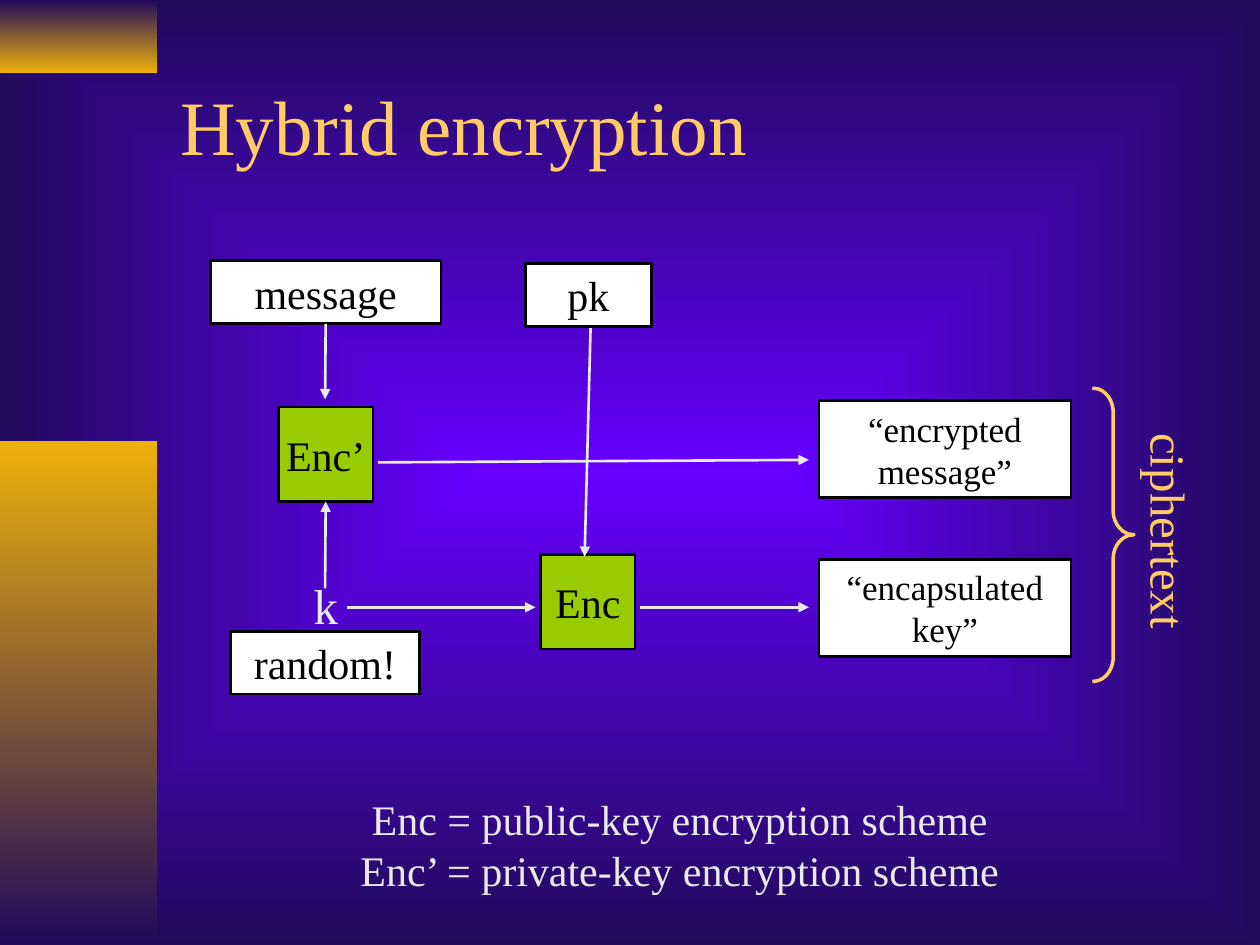
import pptx
import pptx.dml.color
import pptx.enum.shapes
import pptx.enum.text
import pptx.oxml
import pptx.oxml.ns
import pptx.util
from lxml import etree

Inches = pptx.util.Inches
Pt = pptx.util.Pt
SHAPE = pptx.enum.shapes.MSO_SHAPE
ALIGN = pptx.enum.text.PP_ALIGN
ANCHOR = pptx.enum.text.MSO_ANCHOR

FONT = "Times New Roman"
NIGHT, VIOLET, AMBER = "200B5B", "6600FF", "EEB00B"
GOLD, PALE, GREEN = "FFCC66", "EAEAEA", "99CC00"
BLACK, WHITE = "000000", "FFFFFF"


def rgb(value):
    return pptx.dml.color.RGBColor.from_string(value)


def write(frame, text, size=24, color=BLACK, align=ALIGN.CENTER,
          anchor=ANCHOR.MIDDLE, wrap=True):
    """Fill a text frame, one paragraph per line of text."""
    frame.word_wrap = wrap
    frame.auto_size = pptx.enum.text.MSO_AUTO_SIZE.NONE
    frame.vertical_anchor = anchor
    for index, line in enumerate(text.split("\n")):
        para = frame.paragraphs[0] if index == 0 else frame.add_paragraph()
        para.alignment = align
        span = para.add_run()
        span.text = line
        span.font.name = FONT
        span.font.size = Pt(size)
        span.font.color.rgb = rgb(color)


def add_element(parent, tag, **attributes):
    element = etree.SubElement(parent, pptx.oxml.ns.qn(tag))
    for name, value in attributes.items():
        element.set(name, value)
    return element


def blend(fill, first, last):
    """Two-colour gradient from top to bottom."""
    fill.gradient()
    fill.gradient_angle = 270
    for stop, position, color in zip(fill.gradient_stops, (0, 1), (first, last)):
        stop.position = position
        stop.color.rgb = rgb(color)


class Diagram:
    def __init__(self, page, line_width=1.5):
        self.page = page
        self.line_width = line_width

    def background(self, center, edge):
        blend(self.page.background.fill, center, edge)
        # Turn the linear gradient into a rectangular one
        gradient = self.page.background._cSld.find(".//" + pptx.oxml.ns.qn("a:gradFill"))
        gradient.remove(gradient.find(pptx.oxml.ns.qn("a:lin")))
        route = add_element(gradient, "a:path", path="rect")
        add_element(route, "a:fillToRect", l="50000", t="50000", r="50000", b="50000")

    def shape(self, kind, left, top, width, height):
        shape = self.page.shapes.add_shape(
            kind, Inches(left), Inches(top), Inches(width), Inches(height))
        shape.shadow.inherit = False
        return shape

    def band(self, top, height, first, last):
        band = self.shape(SHAPE.RECTANGLE, 0, top, 1.25, height)
        blend(band.fill, first, last)
        band.line.fill.background()

    def title(self, text, left, top, width, height):
        title = self.page.shapes.title
        title.left, title.top = Inches(left), Inches(top)
        title.width, title.height = Inches(width), Inches(height)
        write(title.text_frame, text, size=44, color=GOLD, align=ALIGN.LEFT)

    def box(self, text, left, top, width, height=0.5, fill=WHITE, **style):
        box = self.shape(SHAPE.RECTANGLE, left, top, width, height)
        box.fill.solid()
        box.fill.fore_color.rgb = rgb(fill)
        box.line.color.rgb = rgb(BLACK)
        box.line.width = Pt(self.line_width)
        write(box.text_frame, text, **style)
        return box

    def label(self, text, left, top, width, height, rotation=0, **style):
        label = self.page.shapes.add_textbox(
            Inches(left), Inches(top), Inches(width), Inches(height))
        label.rotation = rotation
        write(label.text_frame, text, anchor=ANCHOR.TOP, wrap=False, **style)

    def arrow(self, start, end):
        arrow = self.page.shapes.add_connector(
            pptx.enum.shapes.MSO_CONNECTOR.STRAIGHT,
            *(Inches(value) for value in (*start, *end)))
        arrow.line.color.rgb = rgb(PALE)
        arrow.line.width = Pt(self.line_width)
        add_element(arrow.line._get_or_add_ln(), "a:tailEnd", type="triangle")
        add_element(arrow._element.spPr, "a:effectLst")
        return arrow

    def brace(self, left, top, width, height):
        brace = self.shape(SHAPE.RIGHT_BRACE, left, top, width, height)
        brace.adjustments[0] = 0.58
        brace.fill.background()
        brace.line.color.rgb = rgb(GOLD)
        brace.line.width = Pt(2)


def main():
    deck = pptx.Presentation()
    deck.slide_width, deck.slide_height = Inches(10), Inches(7.5)
    diagram = Diagram(deck.slides.add_slide(deck.slide_layouts[5]))

    # Backdrop and title
    diagram.background(VIOLET, NIGHT)
    diagram.band(0, 0.58, NIGHT, AMBER)
    diagram.band(3.5, 4, AMBER, NIGHT)
    diagram.title("Hybrid encryption", 1.33, 0.33, 8.5, 1.32)

    # Encryption steps and the message
    private_step = diagram.box("Enc’", 2.21, 3.23, 0.75, 0.75, fill=GREEN, wrap=False)
    message = diagram.box("message", 1.67, 2.07, 1.83)
    diagram.box("Enc", 4.29, 4.4, 0.75, 0.75, fill=GREEN, wrap=False)

    # Flow
    diagram.arrow((2.58, 2.57), (2.58, 3.17)).begin_connect(message, 2)
    diagram.arrow((2.58, 4.67), (2.58, 3.98)).end_connect(private_step, 2)
    diagram.arrow((3, 3.67), (6.42, 3.65))
    diagram.arrow((2.75, 4.82), (4.25, 4.82))
    diagram.arrow((5.08, 4.82), (6.42, 4.82))
    diagram.arrow((4.69, 2.5), (4.64, 4.42))

    # Keys
    diagram.label("k", 2.39, 4.52, 0.39, 0.57, size=28, color=PALE)
    diagram.box("pk", 4.17, 2.09, 1)
    diagram.box("random!", 1.83, 5.01, 1.5)

    # Ciphertext
    for text, top in (("“encrypted message”", 3.18), ("“encapsulated key”", 4.44)):
        diagram.box(text, 6.5, top, 2, 0.77, size=20)
    diagram.brace(8.67, 3.08, 0.33, 2.33)
    diagram.label("ciphertext", 8.41, 3.93, 1.75, 0.57, rotation=90, size=28, color=GOLD)

    # Legend
    diagram.label("Enc = public-key encryption scheme\nEnc’ = private-key encryption scheme",
                  2.75, 6.25, 5.29, 0.9, color=PALE)

    deck.save("out.pptx")


if __name__ == "__main__":
    main()
